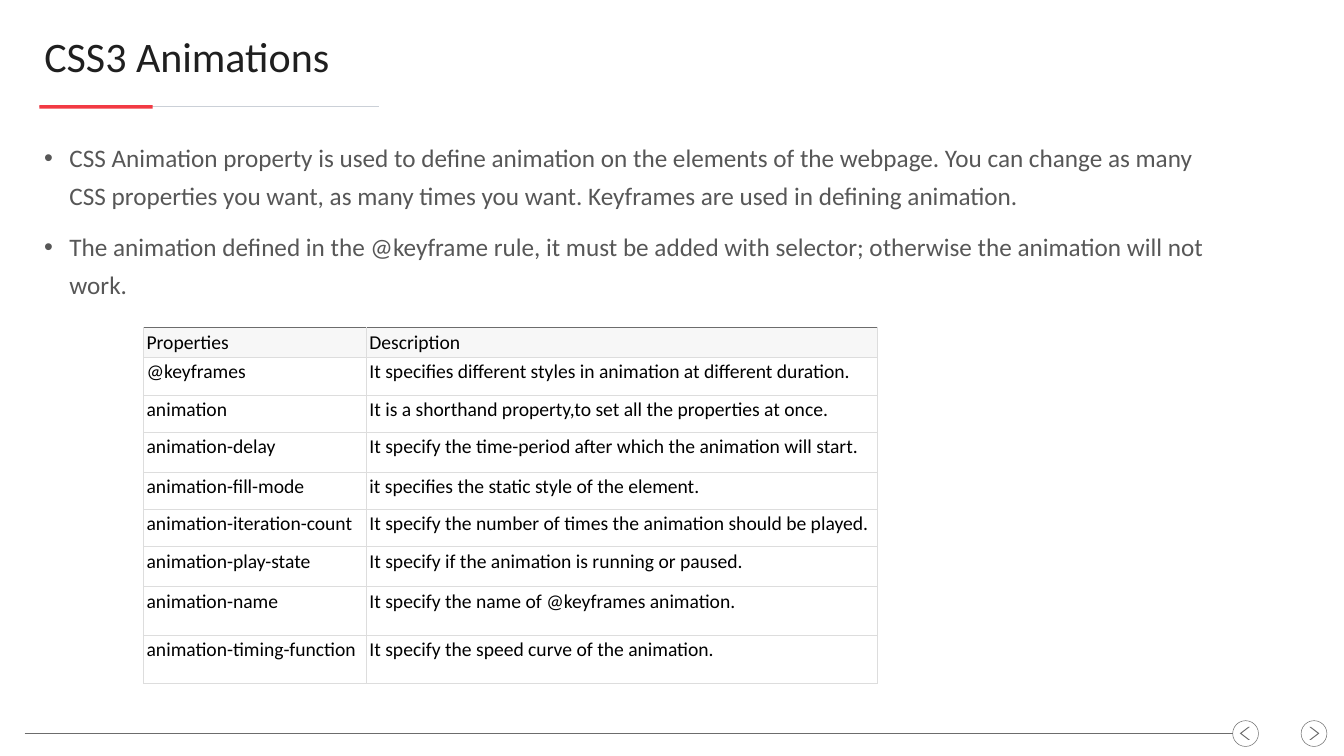
from lxml import etree
from pptx import Presentation
from pptx.dml.color import RGBColor
from pptx.enum.shapes import MSO_CONNECTOR, MSO_SHAPE
from pptx.enum.text import MSO_ANCHOR, MSO_AUTO_SIZE, PP_ALIGN
from pptx.oxml.ns import qn
from pptx.util import Cm, Pt

LINE = MSO_CONNECTOR.STRAIGHT
RECT, OVAL, CHEVRON = MSO_SHAPE.RECTANGLE, MSO_SHAPE.OVAL, MSO_SHAPE.CHEVRON
TOP, MIDDLE, BOTTOM = MSO_ANCHOR.TOP, MSO_ANCHOR.MIDDLE, MSO_ANCHOR.BOTTOM
LEFT, NO_FIT = PP_ALIGN.LEFT, MSO_AUTO_SIZE.NONE

FONT = "Calibri"
BLACK = RGBColor(0x00, 0x00, 0x00)
WHITE = RGBColor(0xFF, 0xFF, 0xFF)
INK = RGBColor(0x1F, 0x1F, 0x1F)
TEXT = RGBColor(0x57, 0x57, 0x57)
RED = RGBColor(0xF2, 0x3A, 0x43)
RULE = RGBColor(0xCB, 0xD0, 0xD7)
GREY = RGBColor(0x6C, 0x6C, 0x6C)
GRID = RGBColor(0xDD, 0xDD, 0xDD)
HEAD = RGBColor(0xF7, 0xF7, 0xF7)

POINTS = [
    "CSS Animation property is used to define animation on the elements of the "
    "webpage. You can change as many CSS properties you want, as many times you "
    "want. Keyframes are used in defining animation.",
    "The animation defined in the @keyframe rule, it must be added with selector; "
    "otherwise the animation will not work.",
]
ROWS = [
    ("Properties", "Description"),
    ("@keyframes", "It specifies different styles in animation at different duration."),
    ("animation", "It is a shorthand property,to set all the properties at once."),
    ("animation-delay", "It specify the time-period after which the animation will start."),
    ("animation-fill-mode", "it specifies the static style of the element."),
    ("animation-iteration-count", "It specify the number of times the animation should be played."),
    ("animation-play-state", "It specify if the animation is running or paused."),
    ("animation-name", "It specify the name of @keyframes animation."),
    ("animation-timing-function", "It specify the speed curve of the animation."),
]
HEIGHTS = [1.37, 1.9, 1.88, 2.01, 1.88, 1.88, 2.01, 2.44, 2.44]
WIDTHS = [11.23, 25.76]


def style(para, size, color):
    para.alignment = LEFT
    para.font.name = FONT
    para.font.size = Pt(size)
    para.font.color.rgb = color


def add_rule(slide, x, y, width, color, weight):
    rule = slide.shapes.add_connector(LINE, Cm(x), Cm(y), Cm(x + width), Cm(y))
    rule.line.color.rgb = color
    rule.line.width = Pt(weight)
    etree.SubElement(rule.line._get_or_add_ln().getparent(), qn("a:effectLst"))


def add_plain(slide, kind, x, y, width, height, fill=None, line=None):
    """Add a preset shape with only the given fill and line."""
    shape = slide.shapes.add_shape(kind, Cm(x), Cm(y), Cm(width), Cm(height))
    shape.shadow.inherit = False
    if fill is None:
        shape.fill.background()
    else:
        shape.fill.solid()
        shape.fill.fore_color.rgb = fill
    if line is None:
        shape.line.fill.background()
    else:
        shape.line.color.rgb = line
        shape.line.width = Pt(0.75)
    return shape


def add_title(slide, x, y, width, height):
    title = slide.shapes.title
    title.left, title.top = Cm(x), Cm(y)
    title.width, title.height = Cm(width), Cm(height)
    frame = title.text_frame
    frame.text = "CSS3 Animations"
    frame.auto_size = NO_FIT
    frame.vertical_anchor = MIDDLE
    style(frame.paragraphs[0], 60, INK)
    line_y = y + height + 1.24
    add_rule(slide, x, line_y, 17.12, RULE, 1.5)
    add_plain(slide, RECT, x, line_y - 0.08, 5.72, 0.18, fill=RED)


def add_points(slide, x, y, width, height):
    frame = slide.shapes.add_textbox(Cm(x), Cm(y), Cm(width), Cm(height)).text_frame
    frame.word_wrap = True
    for i, point in enumerate(POINTS):
        para = frame.paragraphs[0] if i == 0 else frame.add_paragraph()
        para.text = point
        props = para._p.get_or_add_pPr()
        props.set("marL", str(Cm(1.27)))
        props.set("indent", str(-Cm(1.27)))
        etree.SubElement(props, qn("a:buFont"), typeface="Arial")
        etree.SubElement(props, qn("a:buChar"), char="•")
        para.line_spacing = 1.25
        para.space_before = Pt(7.2 if i else 0)
        para.space_after = Pt(12)
        style(para, 36, TEXT)


def set_edges(cell, top):
    props = cell._tc.get_or_add_tcPr()
    for side, color in (("L", GRID), ("R", GRID), ("T", top), ("B", GRID)):
        edge = etree.SubElement(props, qn("a:ln" + side), w=str(Pt(0.75)))
        fill = etree.SubElement(edge, qn("a:solidFill"))
        etree.SubElement(fill, qn("a:srgbClr"), val=str(color))


def add_grid(slide, x, y):
    frame = slide.shapes.add_table(
        len(ROWS), len(WIDTHS), Cm(x), Cm(y), Cm(sum(WIDTHS)), Cm(sum(HEIGHTS)))
    table = frame.table
    table.first_row = table.horz_banding = False
    for col, width in zip(table.columns, WIDTHS):
        col.width = Cm(width)
    for r, (row, height) in enumerate(zip(table.rows, HEIGHTS)):
        row.height = Cm(height)
        for cell, text in zip(row.cells, ROWS[r]):
            cell.text = text
            cell.margin_left = cell.margin_right = Cm(0.15)
            cell.margin_top = cell.margin_bottom = Cm(0.15)
            cell.vertical_anchor = TOP if r else BOTTOM
            set_edges(cell, GRID if r else GREY)
            cell.fill.solid()
            cell.fill.fore_color.rgb = WHITE if r else HEAD
            style(cell.text_frame.paragraphs[0], 28, BLACK)


def add_button(slide, x, y, size, back):
    add_plain(slide, OVAL, x, y, size, size, line=GREY)
    inset = 0.36 if back else 0.41
    arrow = add_plain(slide, CHEVRON, x + inset, y + 0.31, 0.51, 0.66, fill=GREY)
    arrow.adjustments[0] = 0.844
    if back:
        arrow._element.spPr.get_or_add_xfrm().set("flipH", "1")


def add_footer(slide, x, y, width, size):
    """Draw a rule that runs to the back button, then the next button."""
    next_x = x + width - size
    back_x = next_x - 3.45
    add_rule(slide, x, y + size / 2, back_x - x, GREY, 0.75)
    add_button(slide, back_x, y, size, True)
    add_button(slide, next_x, y, size, False)


def main():
    deck = Presentation()
    deck.slide_width, deck.slide_height = Cm(67.74), Cm(38.1)
    slide = deck.slides.add_slide(deck.slide_layouts[5])
    add_title(slide, 1.98, 1.5, 63.63, 2.64)
    add_points(slide, 1.98, 6.68, 59.26, 9)
    add_grid(slide, 7.24, 16.51)
    add_footer(slide, 1.24, 36.32, 65.64, 1.3)
    deck.save("out.pptx")


if __name__ == "__main__":
    main()
